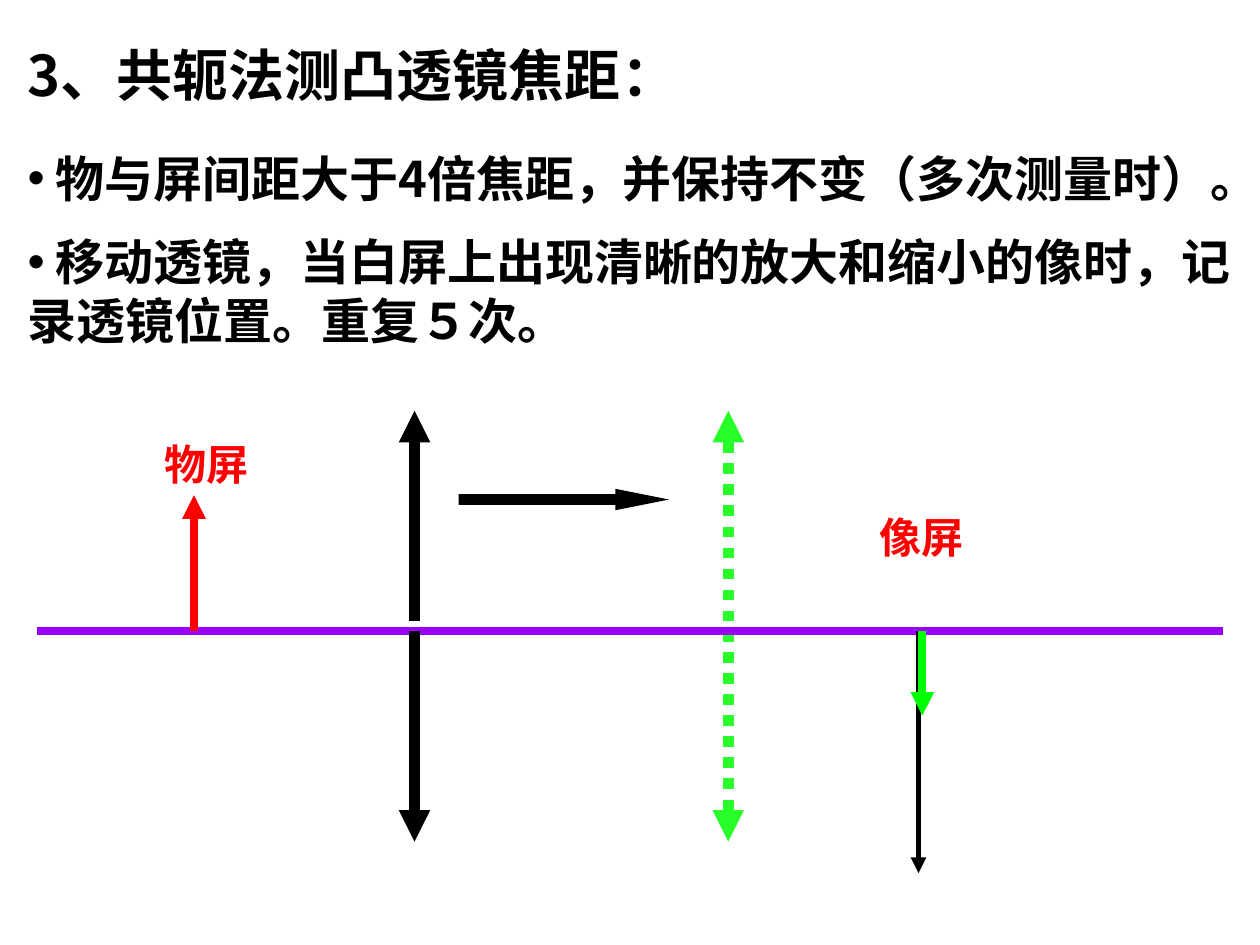
import pptx
import pptx.util
import pptx.dml.color
import pptx.enum.dml
import pptx.enum.shapes
import pptx.enum.text
import pptx.oxml.ns
from lxml import etree
from pptx.util import Inches

COLORS = {
    "black": "000000",
    "red": "FF0000",
    "axis": "9900FF",
    "moved_lens": "29FF29",
    "image": "00FF00",
}
HEADING_FONT = "Noto Sans CJK SC"
LABEL_FONT = "Times New Roman"


def rgb(name):
    return pptx.dml.color.RGBColor.from_string(COLORS[name])


def add_xml(parent, tag, **attributes):
    return etree.SubElement(parent, pptx.oxml.ns.qn(tag), **attributes)


class OpticsSlide:
    """Holds the text and line style together with the current slide."""

    def __init__(self, presentation):
        self.slide = presentation.slides.add_slide(presentation.slide_layouts[1])

    def place(self, shape, left, top, width, height):
        shape.left, shape.top = Inches(left), Inches(top)
        shape.width, shape.height = Inches(width), Inches(height)
        shape.text_frame.word_wrap = True
        shape.text_frame.auto_size = pptx.enum.text.MSO_AUTO_SIZE.NONE

    def format_text(self, paragraph, size, font_name, color):
        paragraph.alignment = pptx.enum.text.PP_ALIGN.LEFT
        for run in paragraph.runs:
            run.font.size = pptx.util.Pt(size)
            run.font.bold = True
            run.font.color.rgb = rgb(color)
            run.font.name = font_name
            add_xml(run.font._element, "a:ea", typeface=HEADING_FONT)

    def title(self, text, *box):
        heading = self.slide.shapes.title
        self.place(heading, *box)
        heading.text_frame.text = text
        heading.text_frame.vertical_anchor = pptx.enum.text.MSO_ANCHOR.MIDDLE
        self.format_text(heading.text_frame.paragraphs[0], 32, HEADING_FONT, "black")

    def bullets(self, steps, *box):
        body = self.slide.placeholders[1]
        self.place(body, *box)
        body.text_frame.text = "\n".join(steps)
        for index, paragraph in enumerate(body.text_frame.paragraphs):
            properties = paragraph._p.get_or_add_pPr()
            properties.set("marL", "0")
            properties.set("indent", "0")
            add_xml(properties, "a:buChar", char="•")
            paragraph.line_spacing = pptx.util.Pt(33.6)
            paragraph.space_before = pptx.util.Pt(14 if index else 0)
            self.format_text(paragraph, 28, HEADING_FONT, "black")

    def label(self, text, left, top):
        box = self.slide.shapes.add_textbox(0, 0, 0, 0)
        self.place(box, left, top, 0.93, 0.5)
        box.text_frame.text = text
        self.format_text(box.text_frame.paragraphs[0], 24, LABEL_FONT, "red")

    def line(self, start, end, color, width, arrow=True, dotted=False):
        ray = self.slide.shapes.add_connector(
            pptx.enum.shapes.MSO_CONNECTOR.STRAIGHT,
            *(Inches(length) for length in (*start, *end)))
        ray.line.color.rgb = rgb(color)
        ray.line.width = pptx.util.Pt(width)
        if dotted:
            ray.line.dash_style = pptx.enum.dml.MSO_LINE.ROUND_DOT
        if arrow:
            add_xml(ray.line._get_or_add_ln(), "a:tailEnd", type="triangle")
        add_xml(ray._element.spPr, "a:effectLst")

    def lens(self, x, color, dotted=False):
        for start, end in ((4.93, 3.26), (5.01, 6.68)):
            self.line((x, start), (x, end), color, 6, dotted=dotted)

    def block_arrow(self, left, top, width, height, color):
        arrow = self.slide.shapes.add_shape(
            pptx.enum.shapes.MSO_SHAPE.RIGHT_ARROW,
            Inches(left), Inches(top), Inches(width), Inches(height))
        arrow.adjustments[0] = 0.5
        arrow.adjustments[1] = 2.5
        arrow.fill.solid()
        arrow.fill.fore_color.rgb = rgb(color)
        arrow.line.fill.background()
        arrow.shadow.inherit = False


def main():
    presentation = pptx.Presentation()
    presentation.slide_width = Inches(10)
    presentation.slide_height = Inches(7.5)
    optics = OpticsSlide(presentation)

    # Heading and procedure
    optics.title("3、共轭法测凸透镜焦距：", 0.12, 0.28, 9.77, 0.62)
    optics.bullets([
        " 物与屏间距大于4倍焦距，并保持不变（多次测量时）。",
        " 移动透镜，当白屏上出现清晰的放大和缩小的像时，记录透镜位置。重复５次。",
    ], 0.12, 1.13, 9.77, 2.1)

    # Second lens position and direction of movement
    axis_y = 5.01
    optics.lens(5.78, "moved_lens", dotted=True)
    optics.block_arrow(3.64, 3.88, 1.67, 0.17, "black")

    # Screen labels
    optics.label("像屏", 6.88, 4.01)
    optics.label("物屏", 1.21, 3.43)

    # Optical axis and first lens position
    optics.line((0.29, axis_y), (9.71, axis_y), "axis", 4.5, arrow=False)
    optics.lens(3.29, "black")

    # Object, enlarged image and reduced image
    for x, tip_y, color, width in (
        (1.54, 3.93, "red", 4.5),
        (7.29, 6.93, "black", 3),
        (7.32, 5.68, "image", 4.5),
    ):
        optics.line((x, axis_y), (x, tip_y), color, width)

    presentation.save("out.pptx")


if __name__ == "__main__":
    main()
